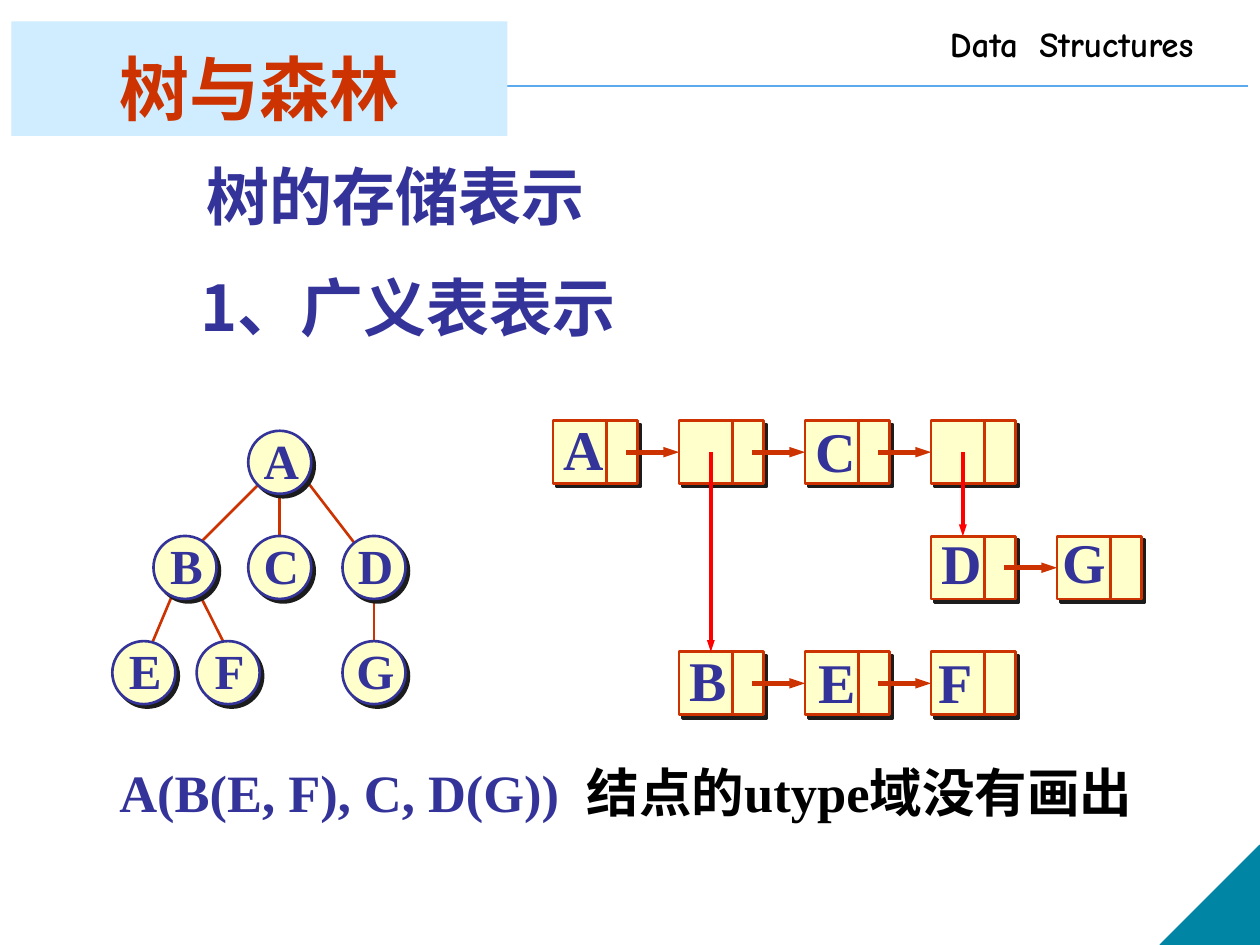
"""Build the slide on generalized-list storage of trees."""
from pptx import Presentation
from pptx.dml.color import RGBColor
from pptx.enum.shapes import MSO_CONNECTOR, MSO_SHAPE
from pptx.enum.text import MSO_ANCHOR, PP_ALIGN
from pptx.oxml.ns import qn
from pptx.util import Cm, Pt
from lxml import etree

STRAIGHT = MSO_CONNECTOR.STRAIGHT
RECT, OVAL, TRIANGLE = MSO_SHAPE.RECTANGLE, MSO_SHAPE.OVAL, MSO_SHAPE.RIGHT_TRIANGLE
LEFT, CENTER = PP_ALIGN.LEFT, PP_ALIGN.CENTER
TOP, MIDDLE, BOTTOM = MSO_ANCHOR.TOP, MSO_ANCHOR.MIDDLE, MSO_ANCHOR.BOTTOM

NAVY = RGBColor(0x33, 0x33, 0x99)
RUST = RGBColor(0xCC, 0x33, 0x00)
RED = RGBColor(0xFF, 0x00, 0x00)
CREAM = RGBColor(0xFF, 0xFF, 0xCC)
PALE_BLUE = RGBColor(0xCF, 0xED, 0xFE)
SKY = RGBColor(0x5A, 0xAA, 0xED)
TEAL = RGBColor(0x00, 0x85, 0xA4)
BLACK = RGBColor(0x00, 0x00, 0x00)

SERIF, HAN = "Times New Roman", "Noto Sans CJK JP"
NODE = 1.27
CELL_W, CELL_H, DIVIDER, LINK = 1.7, 1.27, 1.07, 1.47
COL_X, COL_STEP, ROW_Y, ROW_STEP = 11.15, 2.54, 8.48, 2.33

TREE_NODES = {
    "A": (5.64, 9.32),
    "B": (3.73, 11.44), "C": (5.64, 11.44), "D": (7.54, 11.44),
    "E": (2.9, 13.56), "F": (4.6, 13.56), "G": (7.54, 13.56),
}
TREE_EDGES = [
    (7.54, 11.86, 7.54, 13.36), (6.07, 9.55, 7.54, 11.46),
    (3.96, 11.86, 4.6, 13.13), (3.53, 11.86, 2.9, 13.36),
    (5.23, 9.75, 3.96, 11.02), (5.64, 9.75, 5.64, 11.02),
]
LIST_CELLS = [(0, 0), (1, 0), (2, 0), (3, 0), (3, 1), (4, 1), (1, 2), (2, 2), (3, 2)]
LIST_LABELS = {
    "A": (0, 0, 0.61, 0.55), "B": (1, 2, 0.58, 0.55), "C": (2, 0, 0.61, 0.6),
    "D": (3, 1, 0.61, 0.52), "E": (2, 2, 0.64, 0.6), "F": (3, 2, 0.5, 0.6),
    "G": (4, 1, 0.5, 0.5),
}
CHILD_LINKS = [(1, 2), (3, 1)]


def add_run(p, text, size, font, color, spacing=0):
    """Append a bold run, with optional letter spacing in points."""
    r = p.add_run()
    r.text = text
    for name, value in {"size": Pt(size), "name": font, "bold": True}.items():
        setattr(r.font, name, value)
    r.font.color.rgb = color
    rPr = r.font._element
    etree.SubElement(rPr, qn("a:ea")).set("typeface", HAN)
    if spacing:
        rPr.set("spc", str(spacing * 100))


def fill_text(s, runs, align=CENTER, anchor=TOP, wrap=True):
    """Write runs into a shape's first paragraph."""
    tf = s.text_frame
    for name, value in {"word_wrap": wrap, "vertical_anchor": anchor}.items():
        setattr(tf, name, value)
    p = tf.paragraphs[0]
    p.alignment = align
    for run in runs:
        add_run(p, *run)


def add_text(slide, x, y, w, h, runs, **layout):
    """Add a text box."""
    box = slide.shapes.add_textbox(Cm(x), Cm(y), Cm(w), Cm(h))
    fill_text(box, runs, **layout)


def add_letter(slide, x, y, letter, size):
    """Add a letter centred on a point."""
    w, h = 1.3, size * 0.05
    add_text(slide, x - w / 2, y - h / 2, w, h, [(letter, size, SERIF, NAVY)],
             anchor=MIDDLE, wrap=False)


def add_shape(slide, kind, x, y, w, h, fill, line=None, width=1.5, shadow=False):
    """Add a filled shape with an optional outline and hard shadow."""
    s = slide.shapes.add_shape(kind, Cm(x), Cm(y), Cm(w), Cm(h))
    s.fill.solid()
    s.fill.fore_color.rgb = fill
    if line is None:
        s.line.fill.background()
    else:
        s.line.color.rgb = line
        s.line.width = Pt(width)
    s.shadow.inherit = False
    if shadow:
        effects = s._element.spPr.find(qn("a:effectLst"))
        outer = etree.SubElement(effects, qn("a:outerShdw"), dist=str(Pt(2.8)),
                                 dir="2700000", algn="ctr", rotWithShape="0")
        etree.SubElement(outer, qn("a:srgbClr"), val="1C1C1C")
    return s


def add_line(slide, x1, y1, x2, y2, color, width, arrow=False):
    """Add a straight line, optionally ending in an arrowhead."""
    c = slide.shapes.add_connector(STRAIGHT, Cm(x1), Cm(y1), Cm(x2), Cm(y2))
    c.line.color.rgb = color
    c.line.width = Pt(width)
    if arrow:
        etree.SubElement(c.line._get_or_add_ln(), qn("a:tailEnd"),
                         type="triangle", w="sm", len="med")
    etree.SubElement(c._element.spPr, qn("a:effectLst"))
    return c


def add_frame(slide):
    """Add the header, title and corner."""
    add_line(slide, 0.51, 1.73, 25.15, 1.73, SKY, 1)
    corner = add_shape(slide, TRIANGLE, 23.39, 17.04, 2.01, 2.01, TEAL, TEAL, 0.75)
    corner._element.spPr.find(qn("a:xfrm")).set("flipH", "1")
    header = (20, "Comic Neue", BLACK)
    add_text(slide, 18.9, 0.33, 6.6, 1.09,
             [("Data", *header), (" ", *header, 5), ("Structures", *header)], align=LEFT)
    title = add_shape(slide, RECT, 0.23, 0.43, 10, 2.31, PALE_BLUE)
    fill_text(title, [("树与森林", 40, "Lato", RUST)], anchor=BOTTOM)


def add_tree(slide):
    """Draw the tree with its edges behind the nodes."""
    for edge in TREE_EDGES:
        add_line(slide, *edge, RUST, 1.5)
    for x, y in TREE_NODES.values():
        add_shape(slide, OVAL, x - NODE / 2, y - NODE / 2, NODE, NODE, CREAM, NAVY, shadow=True)
    for letter, (x, y) in TREE_NODES.items():
        add_letter(slide, x + 0.03, y - 0.05, letter, 28)


def cell_origin(col, row):
    """Return the top left corner of a list cell."""
    return COL_X + col * COL_STEP, ROW_Y + row * ROW_STEP


def add_list(slide):
    """Draw the linked cells of the generalized list."""
    cells = {}
    for col, row in LIST_CELLS:
        x, y = cell_origin(col, row)
        cells[col, row] = add_shape(slide, RECT, x, y, CELL_W, CELL_H, CREAM, RUST, shadow=True)
        add_line(slide, x + DIVIDER, y, x + DIVIDER, y + CELL_H, RUST, 1.5)
    for col, row in LIST_CELLS:
        if (col + 1, row) in cells:
            x, y = cell_origin(col, row)
            mid = y + CELL_H / 2
            link = add_line(slide, x + LINK, mid, x + COL_STEP, mid, RUST, 3, arrow=True)
            link.end_connect(cells[col + 1, row], 1)
    for col, child_row in CHILD_LINKS:
        x, y = cell_origin(col, 0)
        child_y = cell_origin(col, child_row)[1]
        add_line(slide, x + 0.64, y + CELL_H / 2, x + 0.64, child_y, RED, 2.25, arrow=True)
    for letter, (col, row, dx, dy) in LIST_LABELS.items():
        x, y = cell_origin(col, row)
        add_letter(slide, x + dx, y + dy, letter, 32)


def main():
    """Build and save the slide."""
    prs = Presentation()
    prs.slide_width, prs.slide_height = Cm(25.4), Cm(19.05)
    slide = prs.slides.add_slide(prs.slide_layouts[6])
    add_frame(slide)
    add_text(slide, -0.28, 3.05, 16.51, 1.78, [("树的存储表示", 36, HAN, NAVY)])
    add_text(slide, -0.03, 5.28, 16.51, 1.78, [("1、广义表表示", 36, HAN, NAVY)])
    add_tree(slide)
    add_list(slide)
    add_text(slide, 1.5, 15.19, 22.23, 1.52, [
        ("A(B(E, F), C, D(G))", 30, SERIF, NAVY),
        (" ", 30, SERIF, NAVY, 8),
        ("结点的utype域没有画出", 30, SERIF, BLACK),
    ])
    prs.save("out.pptx")


if __name__ == "__main__":
    main()
